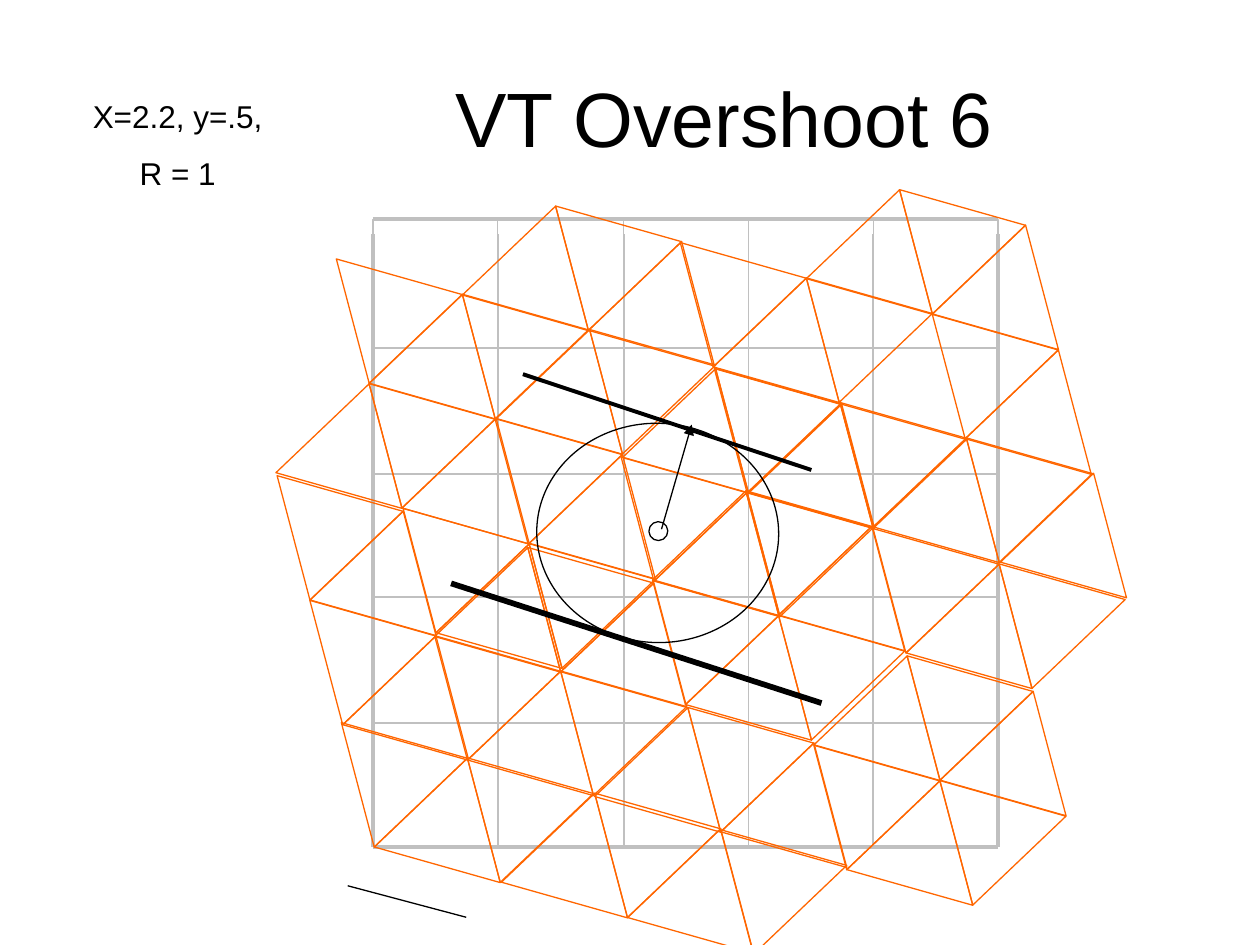
from dataclasses import dataclass

from lxml import etree
from pptx import Presentation
from pptx import util as u
from pptx.dml.color import RGBColor
from pptx.enum import shapes, text
from pptx.oxml import ns

PX = 9144


@dataclass(frozen=True)
class Theme:
    ink: str = "000000"
    grid: str = "C0C0C0"
    mesh: str = "FF6600"
    font: str = "Arial"
    title_size: int = 44
    label_size: int = 18
    hairline: float = 0.75
    thin: float = 1
    medium: float = 2.25
    thick: float = 3.25


def write(frame, lines, size, color, font, gap=0):
    for index, line in enumerate(lines):
        paragraph = frame.paragraphs[0] if index == 0 else frame.add_paragraph()
        paragraph.text = line
        paragraph.alignment = text.PP_ALIGN.CENTER
        if index:
            paragraph.space_before = u.Pt(gap)
        paragraph.font.size = u.Pt(size)
        paragraph.font.name = font
        paragraph.font.color.rgb = RGBColor.from_string(color)


class Sketch:
    def __init__(self, slide, theme):
        self.slide = slide
        self.theme = theme
        self.layer = slide.shapes

    def group(self):
        self.layer = self.slide.shapes.add_group_shape().shapes

    def ungroup(self):
        self.layer = self.slide.shapes

    def pen(self, line, color, width):
        line.color.rgb = RGBColor.from_string(color)
        line.width = u.Pt(width)

    def title(self, words, x, y, w, h):
        heading = self.slide.shapes.title
        heading.left, heading.top, heading.width, heading.height = (v * PX for v in (x, y, w, h))
        heading.text_frame.vertical_anchor = text.MSO_ANCHOR.MIDDLE
        write(heading.text_frame, [words], size=self.theme.title_size,
              color=self.theme.ink, font=self.theme.font)

    def label(self, lines, x, y, w, h):
        frame = self.layer.add_textbox(*(v * PX for v in (x, y, w, h))).text_frame
        frame.word_wrap = True
        frame.auto_size = text.MSO_AUTO_SIZE.SHAPE_TO_FIT_TEXT
        write(frame, lines, size=self.theme.label_size, color=self.theme.ink,
              font=self.theme.font, gap=11.2)

    def outline(self, kind, x, y, w, h, color, turn=0):
        figure = self.layer.add_shape(kind, *(v * PX for v in (x, y, w, h)))
        figure.shadow.inherit = False
        figure.fill.background()
        figure.rotation = turn
        self.pen(figure.line, color, self.theme.hairline)

    def line(self, x1, y1, x2, y2, color, width, arrow=False):
        stroke = self.layer.add_connector(
            shapes.MSO_CONNECTOR.STRAIGHT, *(v * PX for v in (x1, y1, x2, y2)))
        self.pen(stroke.line, color, width)
        if arrow:
            etree.SubElement(stroke.line._get_or_add_ln(), ns.qn("a:tailEnd"), type="triangle")
        etree.SubElement(stroke._element.spPr, ns.qn("a:effectLst"))


COLUMNS = [296, 395, 495, 594, 693, 792]
ROWS = [174, 276, 376, 474, 574, 672]
CENTER_CELL = (495, 376)

UP, DOWN = 15.8, 195.8
STRIPS = [
    (650, 149, UP, 3),
    (377, 162, UP, 3), (526, 205, DOWN, 3), (726, 262, DOWN, 2),
    (253, 218, DOWN, 5), (504, 291, UP, 3), (553, 305, DOWN, 3), (653, 332, DOWN, 4),
    (229, 303, UP, 5), (479, 375, DOWN, 3), (528, 388, UP, 3), (679, 432, DOWN, 3),
    (206, 390, DOWN, 2), (306, 416, DOWN, 3), (355, 433, UP, 3),
    (504, 473, DOWN, 3), (656, 519, UP, 3),
    (232, 489, DOWN, 2), (331, 517, DOWN, 3), (482, 560, UP, 3), (632, 604, DOWN, 3),
    (257, 586, DOWN, 7),
]
STEP_X, STEP_Y = 50.2, 14.1


def draw_grid(sketch):
    theme = sketch.theme
    sketch.group()
    for top, bottom in zip(ROWS, ROWS[1:]):
        for left, right in zip(COLUMNS, COLUMNS[1:]):
            if (left, top) != CENTER_CELL:
                sketch.outline(shapes.MSO_SHAPE.RECTANGLE, left, top,
                               right - left, bottom - top, theme.grid)
    for y in ROWS:
        width = theme.medium if y in (ROWS[0], ROWS[-1]) else theme.thin
        sketch.line(COLUMNS[0], y, COLUMNS[-1], y, theme.grid, width)
    for x in COLUMNS:
        width = theme.medium if x in (COLUMNS[0], COLUMNS[-1]) else theme.thin
        sketch.line(x, ROWS[0] + 12, x, ROWS[-1], theme.grid, width)


def draw_mesh(sketch):
    sketch.group()
    for x, y, turn, count in STRIPS:
        for k in range(count):
            sketch.outline(shapes.MSO_SHAPE.ISOSCELES_TRIANGLE,
                           round(x + k * STEP_X), round(y + k * STEP_Y), 104, 88,
                           sketch.theme.mesh, (turn + 180 * k) % 360)


def draw_overshoot(sketch):
    theme = sketch.theme
    sketch.ungroup()
    sketch.line(276, 703, 370, 728, theme.ink, theme.hairline)
    sketch.group()
    sketch.line(644, 373, 415, 297, theme.ink, theme.medium)
    sketch.outline(shapes.MSO_SHAPE.OVAL, 426, 336, 192, 174, theme.ink, 2.5)
    sketch.line(525, 420, 549, 337, theme.ink, theme.hairline, arrow=True)
    sketch.line(652, 558, 358, 463, theme.ink, theme.thick)
    sketch.outline(shapes.MSO_SHAPE.OVAL, 515, 414, 15, 15, theme.ink, 58)
    sketch.ungroup()


def main():
    deck = Presentation()
    deck.slide_width, deck.slide_height = 1000 * PX, 750 * PX
    sketch = Sketch(deck.slides.add_slide(deck.slide_layouts[5]), Theme())
    draw_grid(sketch)
    sketch.title("VT Overshoot 6", 125, 30, 900, 125)
    draw_mesh(sketch)
    draw_overshoot(sketch)
    sketch.label(["X=2.2, y=.5,", "R = 1"], 60, 72, 162, 86)
    deck.save("out.pptx")


if __name__ == "__main__":
    main()
